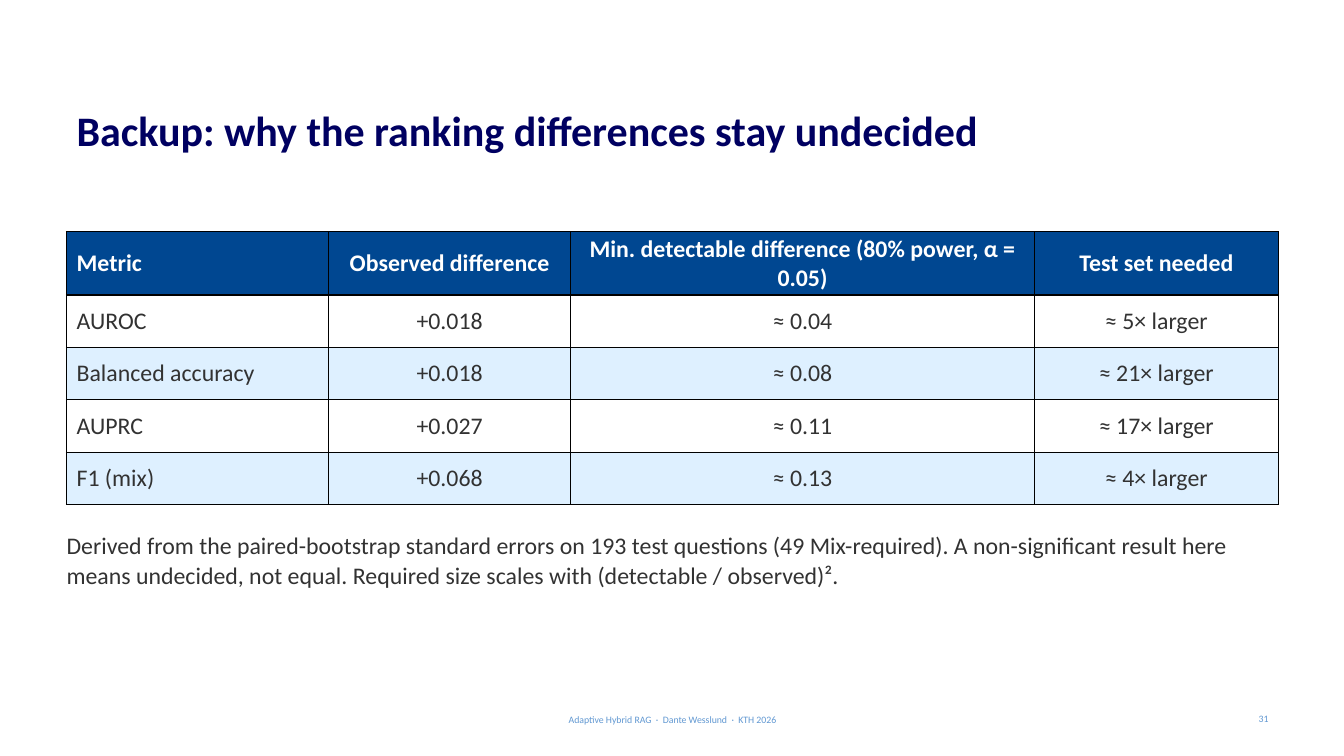
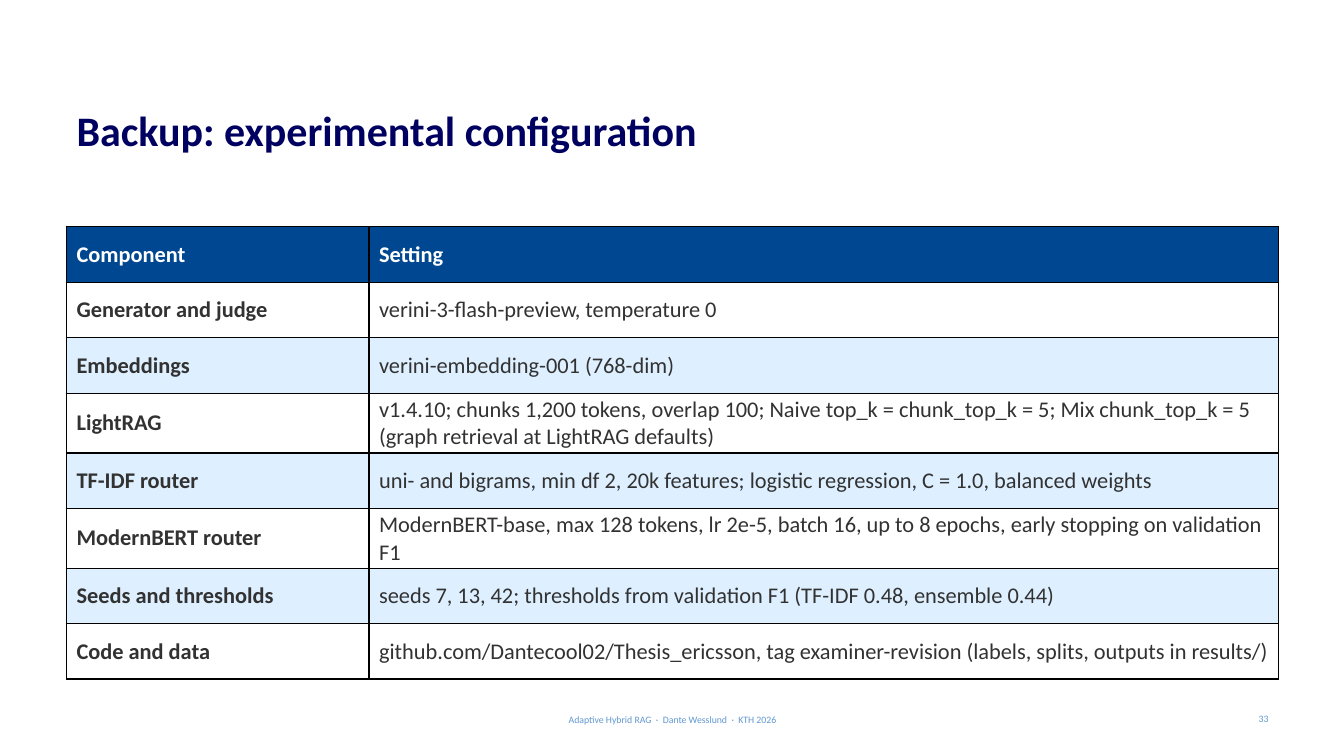
from dataclasses import dataclass

from lxml import etree
from pptx import Presentation
from pptx.dml.color import RGBColor
from pptx.enum import text as tx
from pptx.oxml import ns
from pptx.util import Inches, Pt

LEFT, MID = tx.PP_ALIGN.LEFT, tx.PP_ALIGN.CENTER
RIGHT = tx.PP_ALIGN.RIGHT


# Theme: colours, font and type sizes
@dataclass(frozen=True)
class Theme:
    font: str = "Calibri"
    title: str = "000061"
    head: str = "004791"
    text: str = "323232"
    white: str = "FFFFFF"
    band: str = "DEF0FF"
    foot: str = "6198D2"
    rule: str = "000000"
    big: int = 30
    note: int = 17
    tiny: int = 7


@dataclass(frozen=True)
class Box:
    left: float
    top: float
    width: float
    height: float

    def emu(self) -> tuple:
        return tuple(map(Inches, (self.left, self.top, self.width, self.height)))


@dataclass(frozen=True)
class Grid:
    top: float
    cols: tuple[float, ...]
    high: float
    size: int
    rows: tuple[tuple[str, ...], ...]
    align: object = LEFT      # columns after the first
    bold: bool = False        # first column


@dataclass(frozen=True)
class Page:
    title: str
    num: str
    grid: Grid
    note: str = ""


THEME = Theme()
EDGE, WIDE = 0.66, 12.02
TITLE = Box(EDGE, 0.95, WIDE, 1.05)
FOOT = Box(4.42, 7.08, 4.5, 0.11)
NUM = Box(9.68, 7.08, 3, 0.1)
NOTE = Box(EDGE, 5.25, WIDE, 1.4)
FOOTER = "Adaptive Hybrid RAG  ·  Dante Wesslund  ·  KTH 2026"

PAGES = (
    Page("Backup: why the ranking differences stay undecided", "31",
         Grid(2.3, (2.6, 2.4, 4.6, 2.42), 0.52, 17, (
             ("Metric", "Observed difference",
              "Min. detectable difference (80% power, α = 0.05)",
              "Test set needed"),
             ("AUROC", "+0.018", "≈ 0.04", "≈ 5× larger"),
             ("Balanced accuracy", "+0.018", "≈ 0.08", "≈ 21× larger"),
             ("AUPRC", "+0.027", "≈ 0.11", "≈ 17× larger"),
             ("F1 (mix)", "+0.068", "≈ 0.13", "≈ 4× larger"),
         ), align=MID),
         "Derived from the paired-bootstrap standard errors on 193 test "
         "questions (49 Mix-required). A non-significant result here means "
         "undecided, not equal. Required size scales with "
         "(detectable / observed)²."),
    Page("Backup: experimental configuration", "33",
         Grid(2.25, (3, 9.02), 0.55, 16, (
             ("Component", "Setting"),
             ("Generator and judge", "verini-3-flash-preview, temperature 0"),
             ("Embeddings", "verini-embedding-001 (768-dim)"),
             ("LightRAG",
              "v1.4.10; chunks 1,200 tokens, overlap 100; Naive top_k = "
              "chunk_top_k = 5; Mix chunk_top_k = 5 (graph retrieval at "
              "LightRAG defaults)"),
             ("TF-IDF router",
              "uni- and bigrams, min df 2, 20k features; logistic "
              "regression, C = 1.0, balanced weights"),
             ("ModernBERT router",
              "ModernBERT-base, max 128 tokens, lr 2e-5, batch 16, up to 8 "
              "epochs, early stopping on validation F1"),
             ("Seeds and thresholds",
              "seeds 7, 13, 42; thresholds from validation F1 "
              "(TF-IDF 0.48, ensemble 0.44)"),
             ("Code and data",
              "github.com/Dantecool02/Thesis_ericsson, tag examiner-revision "
              "(labels, splits, outputs in results/)"),
         ), bold=True)),
)


# Text helpers
def apply(item: object, form: dict) -> None:
    for key, val in form.items():
        setattr(item, key, val)


def inset(item: object, *sides: float) -> None:
    names = ("margin_left", "margin_top", "margin_right", "margin_bottom")
    apply(item, dict(zip(names, map(Inches, sides))))


def write(frame: object, words: str, size: int, color: str,
          bold: bool = False, **form: object) -> None:
    frame.text = words
    para = frame.paragraphs[0]
    apply(para, form)
    font = para.runs[0].font
    apply(font, {"name": THEME.font, "size": Pt(size), "bold": bold})
    font.color.rgb = RGBColor.from_string(color)


def label(slide: object, box: Box) -> object:
    frame = slide.shapes.add_textbox(*box.emu()).text_frame
    frame.word_wrap = True
    return frame


# Title
def head(slide: object, words: str) -> None:
    shape = slide.shapes.title
    apply(shape, dict(zip(("left", "top", "width", "height"), TITLE.emu())))
    frame = shape.text_frame
    apply(frame, {"vertical_anchor": tx.MSO_ANCHOR.TOP, "word_wrap": True,
                  "auto_size": tx.MSO_AUTO_SIZE.NONE})
    inset(frame, 0.1, 0.12, 0.1, 0.05)
    write(frame, words, THEME.big, THEME.title, True,
          alignment=LEFT, line_spacing=0.95)


# Footer and page number
def foot(slide: object, num: str) -> None:
    for box, words, align in ((FOOT, FOOTER, MID), (NUM, num, RIGHT)):
        frame = label(slide, box)
        frame.vertical_anchor = tx.MSO_ANCHOR.MIDDLE
        write(frame, words, THEME.tiny, THEME.foot, alignment=align)


# Table
def border(cell: object) -> None:
    props = cell._tc.get_or_add_tcPr()
    for spot, side in enumerate(("lnL", "lnR", "lnT", "lnB")):
        line = etree.Element(ns.qn(f"a:{side}"), w=str(Pt(1)))
        fill = etree.SubElement(line, ns.qn("a:solidFill"))
        etree.SubElement(fill, ns.qn("a:srgbClr"), val=THEME.rule)
        props.insert(spot, line)


def table(slide: object, grid: Grid) -> None:
    count = len(grid.rows)
    box = Box(EDGE, grid.top, sum(grid.cols), grid.high * count)
    tab = slide.shapes.add_table(count, len(grid.cols), *box.emu()).table
    for col, width in zip(tab.columns, grid.cols):
        col.width = Inches(width)
    for r, row in enumerate(grid.rows):
        tab.rows[r].height = Inches(grid.high)
        back = THEME.band if r % 2 == 0 else THEME.white
        color = THEME.text
        if r == 0:
            back, color = THEME.head, THEME.white
        for c, words in enumerate(row):
            cell = tab.cell(r, c)
            cell.vertical_anchor = tx.MSO_ANCHOR.MIDDLE
            inset(cell, 0.1, 0.03, 0.1, 0.03)
            cell.fill.solid()
            cell.fill.fore_color.rgb = RGBColor.from_string(back)
            border(cell)
            write(cell.text_frame, words, grid.size, color,
                  r == 0 or (grid.bold and c == 0),
                  alignment=grid.align if c else LEFT)


# Note below the table
def remark(slide: object, words: str) -> None:
    frame = label(slide, NOTE)
    inset(frame, 0, 0, 0, 0)
    frame.auto_size = tx.MSO_AUTO_SIZE.SHAPE_TO_FIT_TEXT
    write(frame, words, THEME.note, THEME.text,
          line_spacing=1.05, space_after=Pt(6))


def main() -> None:
    deck = Presentation()
    apply(deck, {"slide_width": Inches(13.33), "slide_height": Inches(7.5)})
    for page in PAGES:
        slide = deck.slides.add_slide(deck.slide_layouts[5])
        head(slide, page.title)
        foot(slide, page.num)
        table(slide, page.grid)
        if page.note:
            remark(slide, page.note)
    deck.save("out.pptx")


if __name__ == "__main__":
    main()
